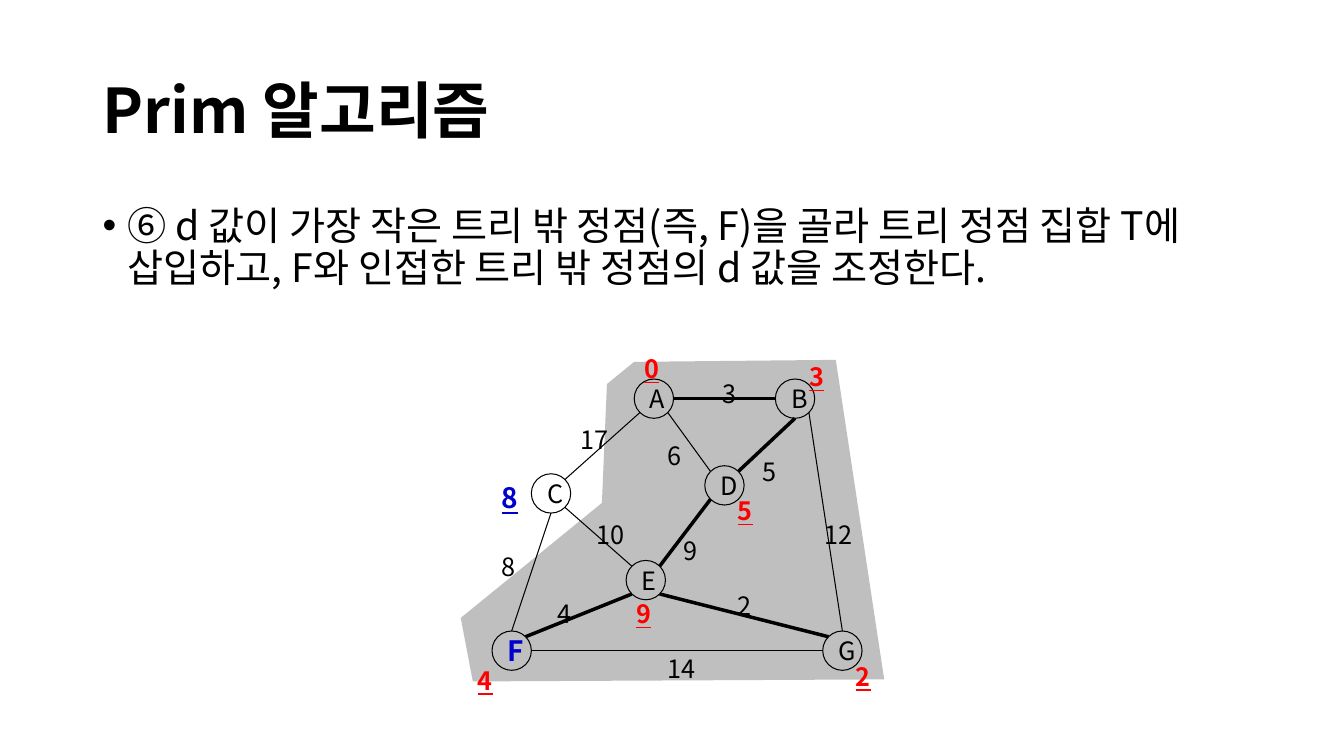
import math
from typing import NamedTuple

from lxml import etree
from pptx import Presentation
from pptx.dml.color import RGBColor
from pptx.enum.shapes import MSO_CONNECTOR, MSO_SHAPE
from pptx.enum.text import MSO_ANCHOR, MSO_AUTO_SIZE, PP_ALIGN
from pptx.oxml.ns import qn
from pptx.util import Inches, Pt

LINE = MSO_CONNECTOR.STRAIGHT
OVAL = MSO_SHAPE.OVAL
TOP, MIDDLE = MSO_ANCHOR.TOP, MSO_ANCHOR.MIDDLE
LEFT, CENTER = PP_ALIGN.LEFT, PP_ALIGN.CENTER
FIT = MSO_AUTO_SIZE.SHAPE_TO_FIT_TEXT

FONT = "Noto Sans CJK KR"
COLORS = {"ink": "000000", "tree": "BFBFBF", "done": "FF0000", "active": "0000CC"}
DIAMETER = 0.39
THIN, BOLD = 0.75, 2.5

# Unit steps from the centre of a vertex to its rim
DIAG = math.sqrt(0.5)
RIM = {
    "N": (0, -1), "S": (0, 1), "W": (-1, 0), "E": (1, 0),
    "NW": (-DIAG, -DIAG), "NE": (DIAG, -DIAG),
    "SW": (-DIAG, DIAG), "SE": (DIAG, DIAG),
}


class Vertex(NamedTuple):
    x: float
    y: float
    d: str
    d_x: float
    d_y: float
    d_color: str = "done"
    d_size: int = 18


class Edge(NamedTuple):
    start: str
    start_rim: str
    end: str
    end_rim: str
    weight: str
    label_x: float
    label_y: float
    width: float = THIN


VERTICES = {
    "A": Vertex(6.29, 3.76, "0", 6.29, 3.37),
    "B": Vertex(7.69, 3.76, "3", 7.93, 3.45),
    "C": Vertex(5.27, 4.7, "8", 4.88, 4.62, "active", 20),
    "D": Vertex(6.99, 4.62, "5", 7.22, 4.78),
    "E": Vertex(6.21, 5.56, "9", 6.21, 5.8),
    "F": Vertex(4.88, 6.26, "4", 4.64, 6.46),
    "G": Vertex(8.16, 6.26, "2", 8.39, 6.42),
}
EDGES = [
    Edge("A", "E", "B", "W", "3", 7.07, 3.61, BOLD),
    Edge("A", "SW", "C", "NE", "17", 5.66, 4.07),
    Edge("A", "SE", "D", "NW", "6", 6.52, 4.23),
    Edge("B", "S", "D", "NE", "5", 7.46, 4.39, BOLD),
    Edge("B", "SE", "G", "N", "12", 8.08, 5.01),
    Edge("D", "SW", "E", "NE", "9", 6.68, 5.17, BOLD),
    Edge("C", "SE", "E", "NW", "10", 5.82, 5.01),
    Edge("C", "S", "F", "N", "8", 4.88, 5.33),
    Edge("F", "E", "G", "W", "14", 6.52, 6.34),
    Edge("E", "SE", "G", "NW", "2", 7.22, 5.72, BOLD),
    Edge("E", "SW", "F", "NE", "4", 5.43, 5.8, BOLD),
]
TREE_AREA = [(6.02, 3.81), (5.97, 4.99), (4.57, 6.13), (4.69, 6.76),
             (8.77, 6.74), (8.29, 3.57), (6.29, 3.59)]


def rgb(name: str) -> RGBColor:
    return RGBColor.from_string(COLORS[name])


def write(sp, text: str, *, size: int = 18, color: str = "ink", bold: bool = False,
          underline: bool = False, align=LEFT, anchor=TOP, spacing: float = 1.0,
          bullet: bool = False, wrap: bool = True) -> None:
    tf = sp.text_frame
    tf.word_wrap = wrap
    tf.vertical_anchor = anchor
    p = tf.paragraphs[0]
    if bullet:
        pPr = p._p.get_or_add_pPr()
        pPr.set("marL", str(Inches(0.25)))
        pPr.set("indent", str(-Inches(0.25)))
        etree.SubElement(pPr, qn("a:buFont")).set("typeface", "Arial")
        etree.SubElement(pPr, qn("a:buChar")).set("char", "•")
    p.alignment = align
    p.line_spacing = spacing
    r = p.add_run()
    r.text = text
    r.font.name = FONT
    r.font.size = Pt(size)
    r.font.bold = bold
    r.font.underline = underline
    r.font.color.rgb = rgb(color)
    etree.SubElement(r._r.get_or_add_rPr(), qn("a:ea")).set("typeface", FONT)


def add_text(s, x: float, y: float, w: float, h: float, text: str, **fmt) -> None:
    write(s.shapes.add_textbox(Inches(x), Inches(y), Inches(w), Inches(h)), text, **fmt)


def add_label(s, x: float, y: float, text: str, **fmt) -> None:
    width = 0.2 + 0.15 * len(text)
    sp = s.shapes.add_textbox(Inches(x), Inches(y), Inches(width), Inches(0.44))
    write(sp, text, spacing=1.3, wrap=False, **fmt)
    sp.text_frame.auto_size = FIT


def add_tree_area(s) -> None:
    points = [(Inches(x), Inches(y)) for x, y in TREE_AREA]
    builder = s.shapes.build_freeform(*points[0])
    builder.add_line_segments(points[1:], close=True)
    sp = builder.convert_to_shape()
    sp.shadow.inherit = False
    sp.fill.solid()
    sp.fill.fore_color.rgb = rgb("tree")
    sp.line.fill.background()


def add_vertex(s, name: str, v: Vertex) -> None:
    sp = s.shapes.add_shape(OVAL, Inches(v.x), Inches(v.y),
                            Inches(DIAMETER), Inches(DIAMETER))
    sp.shadow.inherit = False
    sp.fill.background()
    sp.line.color.rgb = rgb("ink")
    sp.line.width = Pt(THIN)
    chosen = name == "F"
    write(sp, name, size=20 if chosen else 18, color="active" if chosen else "ink",
          bold=chosen, align=CENTER, anchor=MIDDLE)


def rim_point(name: str, side: str) -> tuple:
    v, (dx, dy) = VERTICES[name], RIM[side]
    radius = DIAMETER / 2
    return Inches(v.x + radius * (1 + dx)), Inches(v.y + radius * (1 + dy))


def add_edge(s, e: Edge) -> None:
    line = s.shapes.add_connector(LINE, *rim_point(e.start, e.start_rim),
                                  *rim_point(e.end, e.end_rim))
    line.line.color.rgb = rgb("ink")
    line.line.width = Pt(e.width)
    etree.SubElement(line._element.spPr, qn("a:effectLst"))


def main() -> None:
    prs = Presentation()
    prs.slide_width, prs.slide_height = Inches(13.33), Inches(7.5)
    s = prs.slides.add_slide(prs.slide_layouts[6])

    # Title and step
    add_text(s, 0.92, 0.4, 11.5, 1.45, "Prim 알고리즘", size=44, bold=True,
             anchor=MIDDLE, spacing=0.9)
    add_text(s, 0.92, 2, 11.5, 4.76,
             "⑥ d 값이 가장 작은 트리 밖 정점(즉, F)을 골라 트리 정점 집합 T에 삽입하고, "
             "F와 인접한 트리 밖 정점의 d 값을 조정한다.",
             size=28, spacing=0.9, bullet=True)

    # Graph
    add_tree_area(s)
    for name, v in VERTICES.items():
        add_vertex(s, name, v)
    for e in EDGES:
        add_edge(s, e)

    # Edge weights and d values
    for e in EDGES:
        add_label(s, e.label_x, e.label_y, e.weight)
    for v in VERTICES.values():
        add_label(s, v.d_x, v.d_y, v.d, size=v.d_size, color=v.d_color,
                  bold=True, underline=True)

    prs.save("out.pptx")


if __name__ == "__main__":
    main()
